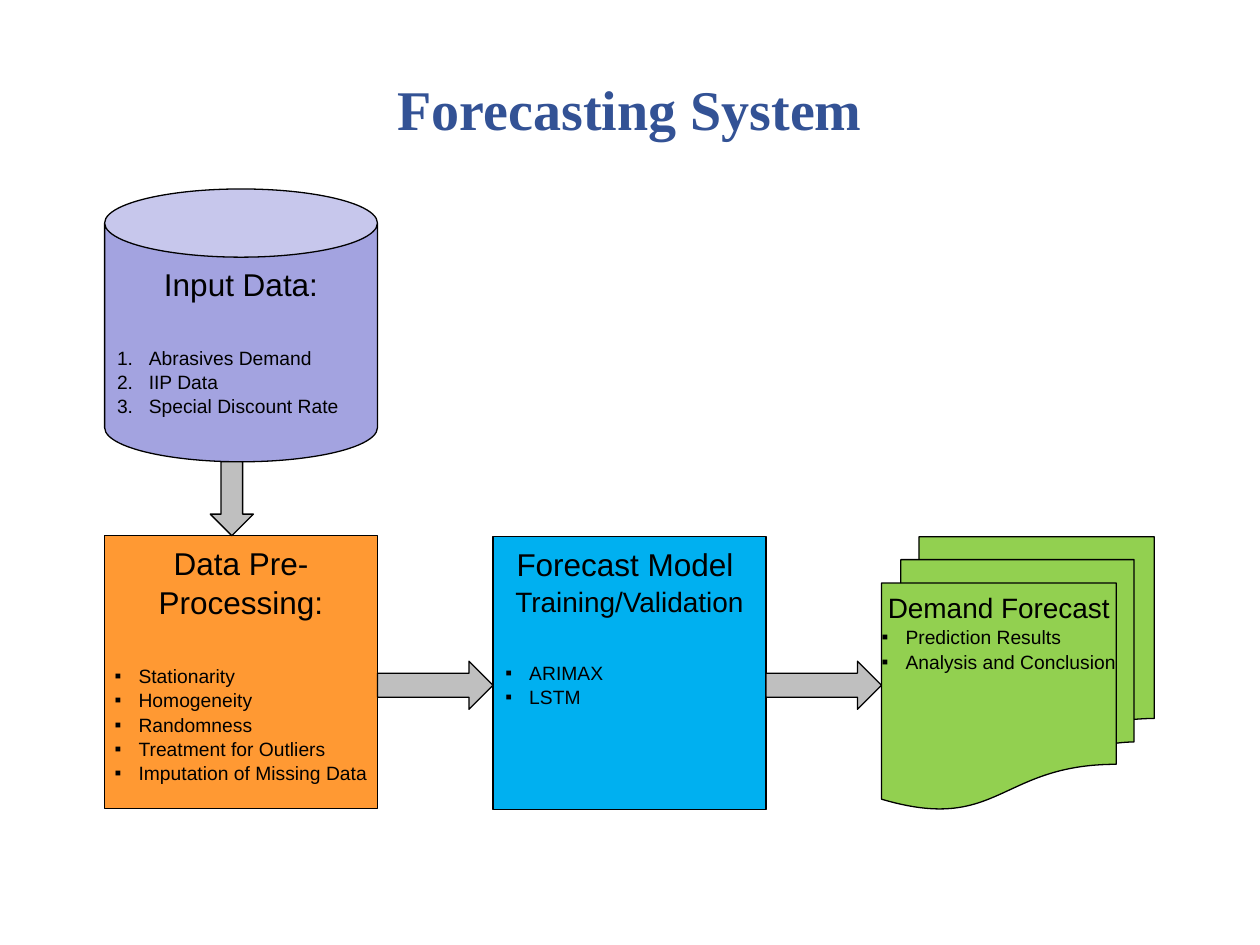
from lxml import etree
from pptx import Presentation
from pptx.dml.color import RGBColor
from pptx.enum.shapes import MSO_SHAPE
from pptx.enum.text import MSO_ANCHOR, PP_ALIGN
from pptx.oxml.ns import qn
from pptx.util import Cm, Pt

CAN = MSO_SHAPE.CAN
PROCESS = MSO_SHAPE.FLOWCHART_PROCESS
DOCUMENTS = MSO_SHAPE.FLOWCHART_MULTIDOCUMENT
RIGHT_ARROW, DOWN_ARROW = MSO_SHAPE.RIGHT_ARROW, MSO_SHAPE.DOWN_ARROW
TOP, MIDDLE = MSO_ANCHOR.TOP, MSO_ANCHOR.MIDDLE
LEFT, CENTER = PP_ALIGN.LEFT, PP_ALIGN.CENTER

THEME = {
    "title_font": "Times New Roman", "body_font": "Arial",
    "title_size": 32, "heading_size": 18, "subheading_size": 16, "item_size": 11,
    "title": "335295", "text": "000000", "line": "000000",
    "input": "A3A3E0", "preparation": "FF9933", "model": "00B0F0",
    "output": "92D050", "arrow": "BFBFBF",
}
HEADING, SUBHEADING = THEME["heading_size"], THEME["subheading_size"]

# Layout in centimetres: three columns of square boxes
BOX = 5.5
FIRST_LEFT = 2.11
PITCH = 7.83
INPUT_TOP, PREPARATION_TOP, FLOW_TOP = 3.81, 10.8, 10.82
columns = [FIRST_LEFT + PITCH * index for index in range(3)]


def add_filled_shape(kind, left, top, width, height, color):
    shape = slide.shapes.add_shape(kind, Cm(left), Cm(top), Cm(width), Cm(height))
    shape.shadow.inherit = False
    shape.fill.solid()
    shape.fill.fore_color.rgb = RGBColor.from_string(THEME[color])
    shape.line.color.rgb = RGBColor.from_string(THEME["line"])
    shape.line.width = Pt(0.75)
    return shape


def format_run(run, font_name, size, color):
    run.font.name = font_name
    run.font.size = Pt(size)
    run.font.color.rgb = RGBColor.from_string(THEME[color])


presentation = Presentation()
presentation.slide_width, presentation.slide_height = Cm(25.4), Cm(19.05)
slide = presentation.slides.add_slide(presentation.slide_layouts[5])

# Title
title = slide.shapes.title
title.left, title.top, title.width, title.height = Cm(1.27), Cm(0.76), Cm(22.86), Cm(2.85)
title.text_frame.text = "Forecasting System"
title.text_frame.vertical_anchor = MIDDLE
title_paragraph = title.text_frame.paragraphs[0]
title_paragraph.alignment = CENTER
format_run(title_paragraph.runs[0], THEME["title_font"], THEME["title_size"], "title")
title_paragraph.runs[0].font.bold = True

# Stages: shape, column, top, colour, headings with sizes, numbered, gap above list, items
stages = [
    (PROCESS, 1, FLOW_TOP, "model",
     [("Forecast Model ", HEADING), ("Training/Validation", SUBHEADING)],
     False, 24, ["ARIMAX", "LSTM"]),
    (DOCUMENTS, 2, FLOW_TOP, "output",
     [("Demand Forecast", SUBHEADING)],
     False, 0, ["Prediction Results", "Analysis and Conclusion"]),
    (CAN, 0, INPUT_TOP, "input",
     [("Input Data:", HEADING)],
     True, 24, ["Abrasives Demand", "IIP Data", "Special Discount Rate"]),
    (PROCESS, 0, PREPARATION_TOP, "preparation",
     [("Data Pre-", HEADING), ("Processing:", HEADING)],
     False, 24, ["Stationarity", "Homogeneity", "Randomness",
                 "Treatment for Outliers", "Imputation of Missing Data"]),
]
for kind, column, top, color, headings, numbered, gap, items in stages:
    shape = add_filled_shape(kind, columns[column], top, BOX, BOX, color)
    text_frame = shape.text_frame
    text_frame.word_wrap = False
    text_frame.vertical_anchor = TOP
    lines = headings + [(item, THEME["item_size"]) for item in items]
    text_frame.text = "\n".join(text for text, size in lines)
    for index, (paragraph, (text, size)) in enumerate(zip(text_frame.paragraphs, lines)):
        is_item = index >= len(headings)
        paragraph.alignment = LEFT if is_item else CENTER
        paragraph.line_spacing = 1.05
        format_run(paragraph.runs[0], THEME["body_font"], size, "text")
        if not is_item:
            continue
        if index == len(headings):
            paragraph.space_before = Pt(gap)
        # Hanging indent with a number or a square bullet
        properties = paragraph._p.get_or_add_pPr()
        indent = Cm(0.64 if numbered else 0.48)
        properties.set("marL", str(indent))
        properties.set("indent", str(-indent))
        etree.SubElement(properties, qn("a:buFont"), typeface=THEME["body_font"])
        if numbered:
            etree.SubElement(properties, qn("a:buAutoNum"), type="arabicPeriod")
        else:
            etree.SubElement(properties, qn("a:buChar"), char="▪")

# Arrows between the stages
for column_left in columns[:2]:
    add_filled_shape(RIGHT_ARROW, column_left + BOX, 13.33, PITCH - BOX, 0.97, "arrow")
input_bottom = INPUT_TOP + BOX
add_filled_shape(DOWN_ARROW, 4.24, input_bottom, 0.87, PREPARATION_TOP - input_bottom, "arrow")

presentation.save("out.pptx")
